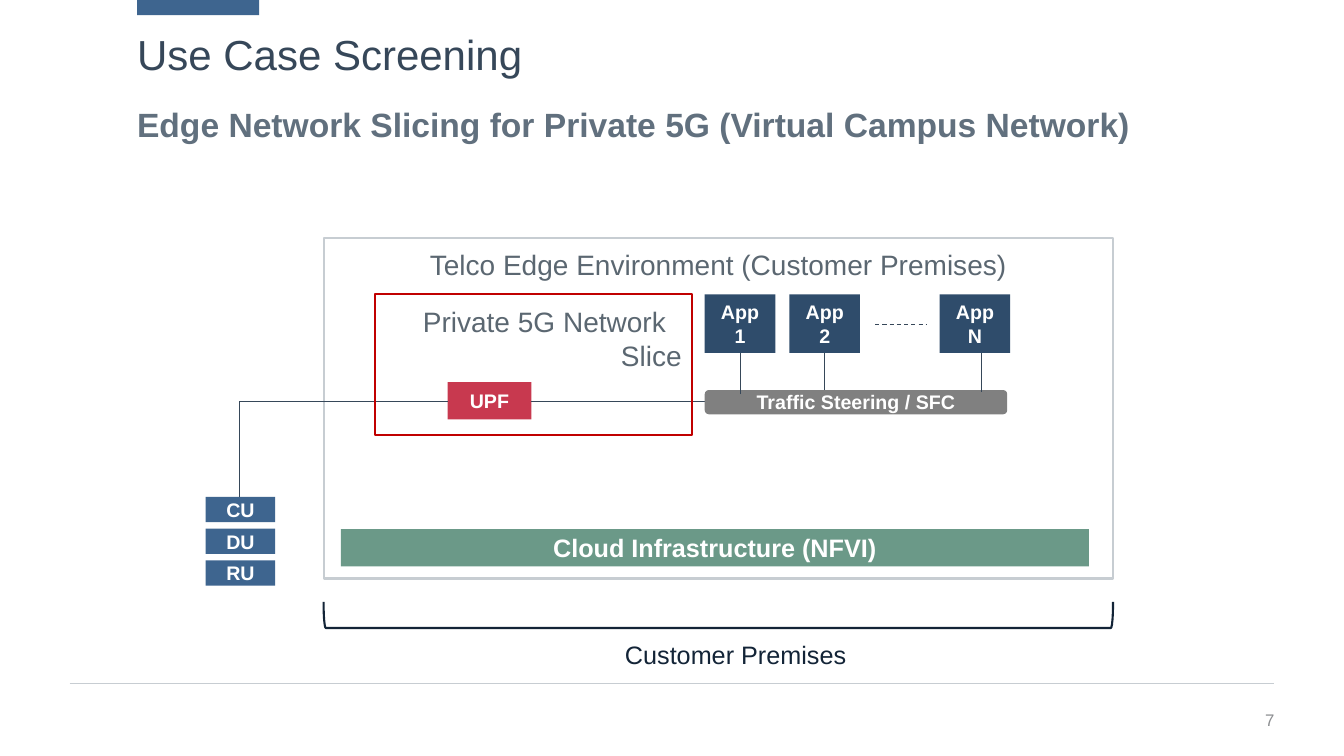
from lxml import etree
from pptx import Presentation
from pptx import util as u
from pptx.dml.color import RGBColor
from pptx.enum import dml, shapes, text
from pptx.oxml import ns

WHITE = RGBColor(0xFF, 0xFF, 0xFF)
SLATE = RGBColor(0x36, 0x47, 0x59)
STEEL = RGBColor(0x61, 0x70, 0x7E)
LABEL = RGBColor(0x5B, 0x67, 0x71)
NUMBER = RGBColor(0x8C, 0x8E, 0x91)
NAVY = RGBColor(0x13, 0x24, 0x37)
BLUE = RGBColor(0x3E, 0x65, 0x8F)
DEEP_BLUE = RGBColor(0x2F, 0x4C, 0x6B)
GREEN = RGBColor(0x6B, 0x99, 0x88)
CRIMSON = RGBColor(0xC8, 0x39, 0x4F)
RED = RGBColor(0xC0, 0x00, 0x00)
GRAY = RGBColor(0x80, 0x80, 0x80)
PALE = RGBColor(0xC7, 0xCD, 0xD2)

TITLE = "Use Case Screening"
SUBTITLE = "Edge Network Slicing for Private 5G (Virtual Campus Network)"
EDGE = (3.21, 2.36, 7.83, 3.38)
SLICE = (3.72, 2.92, 3.14, 1.4)
UPF = (4.44, 3.79, 0.83, 0.37)
STEERING = (6.99, 3.87, 3, 0.24)
CLOUD = (3.38, 5.25, 7.42, 0.37)
RADIO_UNITS = ["CU", "DU", "RU"]
RADIO_LEFT, RADIO_TOP, RADIO_PITCH = 2.04, 4.93, 0.315
RADIO_WIDTH, RADIO_HEIGHT = 0.69, 0.25
APPS = [("1", 6.99), ("2", 7.83), ("N", 9.32)]
APP_TOP, APP_WIDTH, APP_HEIGHT = 2.92, 0.7, 0.58
APP_LINKS = [(7.34, 3.91), (8.18, 3.87), (9.73, 3.89)]
LINK_Y = 3.98
BRACKET_Y, BRACKET_DEPTH = 6.1, 0.26

RECT = shapes.MSO_SHAPE.RECTANGLE
LEFT, CENTER, RIGHT = text.PP_ALIGN.LEFT, text.PP_ALIGN.CENTER, text.PP_ALIGN.RIGHT
TOP, MIDDLE = text.MSO_ANCHOR.TOP, text.MSO_ANCHOR.MIDDLE

deck = Presentation()
deck.slide_width, deck.slide_height = u.Inches(13.33), u.Inches(7.5)
page = deck.slides.add_slide(deck.slide_layouts[5])


def inches(values):
    return [u.Inches(value) for value in values]


def write(box, words, size=14, color=WHITE, bold=False, align=CENTER,
          anchor=MIDDLE, insets=(0, 0, 0, 0), wrap=True, spacing=None):
    frame = box.text_frame
    frame.auto_size = text.MSO_AUTO_SIZE.NONE
    frame.word_wrap = wrap
    frame.vertical_anchor = anchor
    (frame.margin_left, frame.margin_top,
     frame.margin_right, frame.margin_bottom) = inches(insets)
    frame.text = words
    for para in frame.paragraphs:
        para.alignment = align
        para.line_spacing = spacing
        para.font.name = "Arial"
        para.font.size = u.Pt(size)
        para.font.bold = bold
        para.font.color.rgb = color


def add_box(place, fill=None, line=None, kind=RECT):
    box = page.shapes.add_shape(kind, *inches(place))
    box.shadow.inherit = False
    if fill is None:
        box.fill.background()
    else:
        box.fill.solid()
        box.fill.fore_color.rgb = fill
    if line is None:
        box.line.fill.background()
    else:
        box.line.color.rgb = line
        box.line.width = u.Pt(1.5)
    return box


def add_text(place, words, **style):
    write(page.shapes.add_textbox(*inches(place)), words, **style)


def add_line(start, end, color=SLATE, width=0.75, kind=shapes.MSO_CONNECTOR.STRAIGHT):
    line = page.shapes.add_connector(kind, *inches(start + end))
    line.line.color.rgb = color
    line.line.width = u.Pt(width)
    etree.SubElement(line._element.spPr, ns.qn("a:effectLst"))
    return line


add_text((11.97, 6.94, 0.67, 0.4), "7", size=12, color=NUMBER, align=RIGHT)
add_line((0.69, 6.78), (12.64, 6.78), color=PALE, width=1)
add_box((1.36, 0, 1.21, 0.15), fill=BLUE)

title = page.shapes.title
title.left, title.top, title.width, title.height = inches((1.36, 0.32, 10.61, 0.48))
write(title, TITLE, size=30, color=SLATE, align=LEFT, anchor=TOP, spacing=0.95)
add_text((1.36, 1.03, 11.27, 0.57), SUBTITLE, size=24, color=STEEL, bold=True,
         align=LEFT, anchor=TOP)

write(add_box(UPF, fill=CRIMSON), "UPF", bold=True)
write(add_box(CLOUD, fill=GREEN), "Cloud Infrastructure (NFVI)", size=18, bold=True)
write(add_box(EDGE, line=PALE), "Telco Edge Environment (Customer Premises)",
      size=20, color=LABEL, anchor=TOP, insets=(0.1, 0.1, 0.1, 0.05))
add_line((UPF[0] + UPF[2], LINK_Y), (7.12, LINK_Y))

for index, unit in enumerate(RADIO_UNITS):
    place = (RADIO_LEFT, RADIO_TOP + index * RADIO_PITCH, RADIO_WIDTH, RADIO_HEIGHT)
    write(add_box(place, fill=BLUE), unit, bold=True)
uplink = add_line((UPF[0], LINK_Y), (2.38, RADIO_TOP), kind=shapes.MSO_CONNECTOR.ELBOW)
uplink._element.spPr.find(ns.qn("a:prstGeom")).set("prst", "bentConnector2")

write(add_box(SLICE, line=RED), "Private 5G Network  \nSlice", size=20, color=LABEL,
      align=RIGHT, anchor=TOP, insets=(0.1, 0.1, 0.1, 0.05))

bracket_left = EDGE[0] + (EDGE[2] - BRACKET_DEPTH) / 2
bracket = add_box((bracket_left, BRACKET_Y - EDGE[2] / 2, BRACKET_DEPTH, EDGE[2]),
                  line=NAVY, kind=shapes.MSO_SHAPE.LEFT_BRACKET)
bracket.rotation = 270
add_text((6.1, 6.29, 2.42, 0.4), "Customer Premises", size=18, color=NAVY,
         align=LEFT, anchor=TOP, insets=(0.1, 0.05, 0.1, 0.05), wrap=False)

steering = add_box(STEERING, fill=GRAY, kind=shapes.MSO_SHAPE.ROUNDED_RECTANGLE)
write(steering, "Traffic Steering / SFC", bold=True)
for (name, left), (link_x, link_end) in zip(APPS, APP_LINKS):
    app = add_box((left, APP_TOP, APP_WIDTH, APP_HEIGHT), fill=DEEP_BLUE)
    write(app, f"App\n{name}", bold=True)
    add_line((link_x, link_end), (link_x, APP_TOP + APP_HEIGHT))
more_apps = add_line((8.68, 3.22), (9.19, 3.22))
more_apps.line.dash_style = dml.MSO_LINE.DASH

deck.save("out.pptx")
